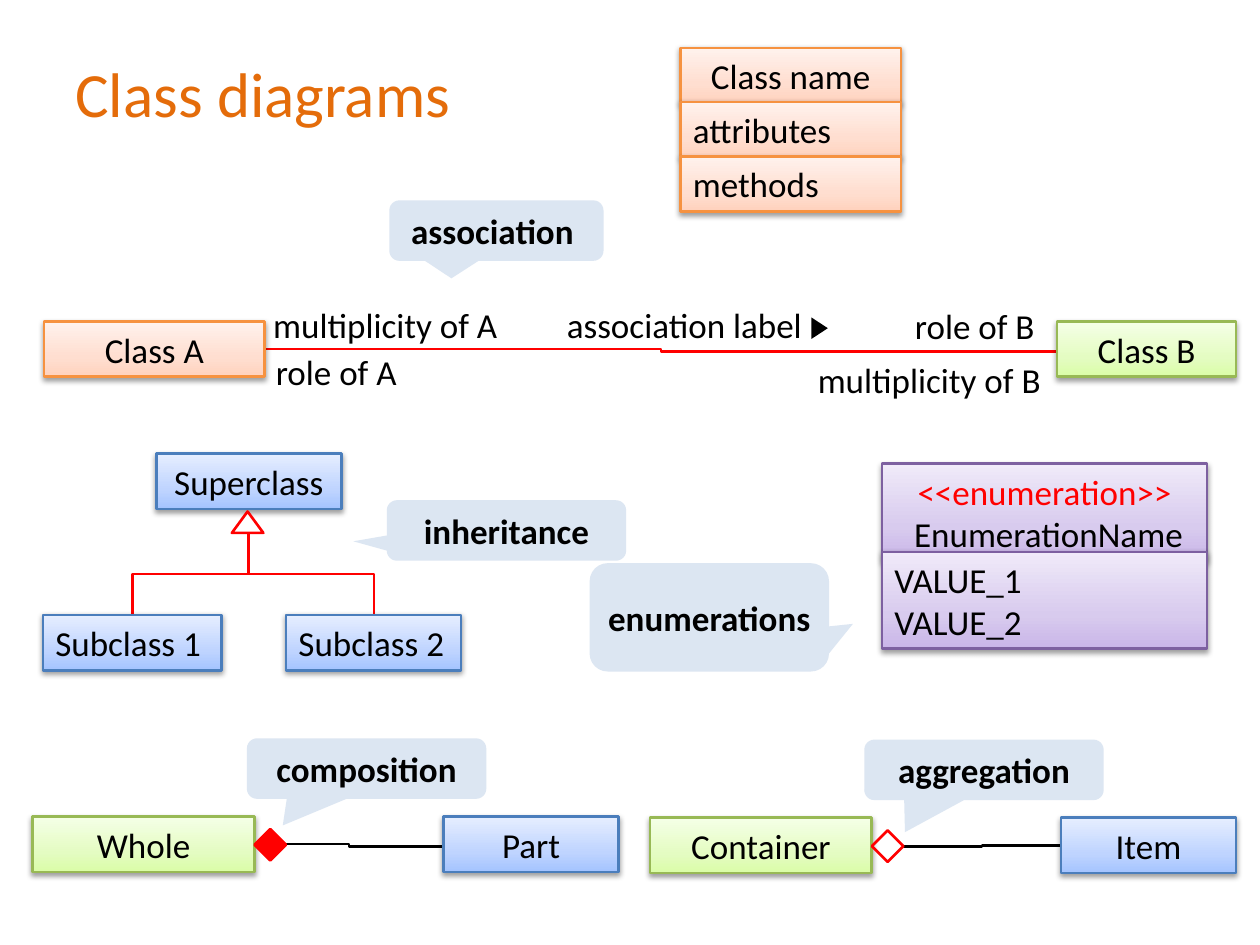
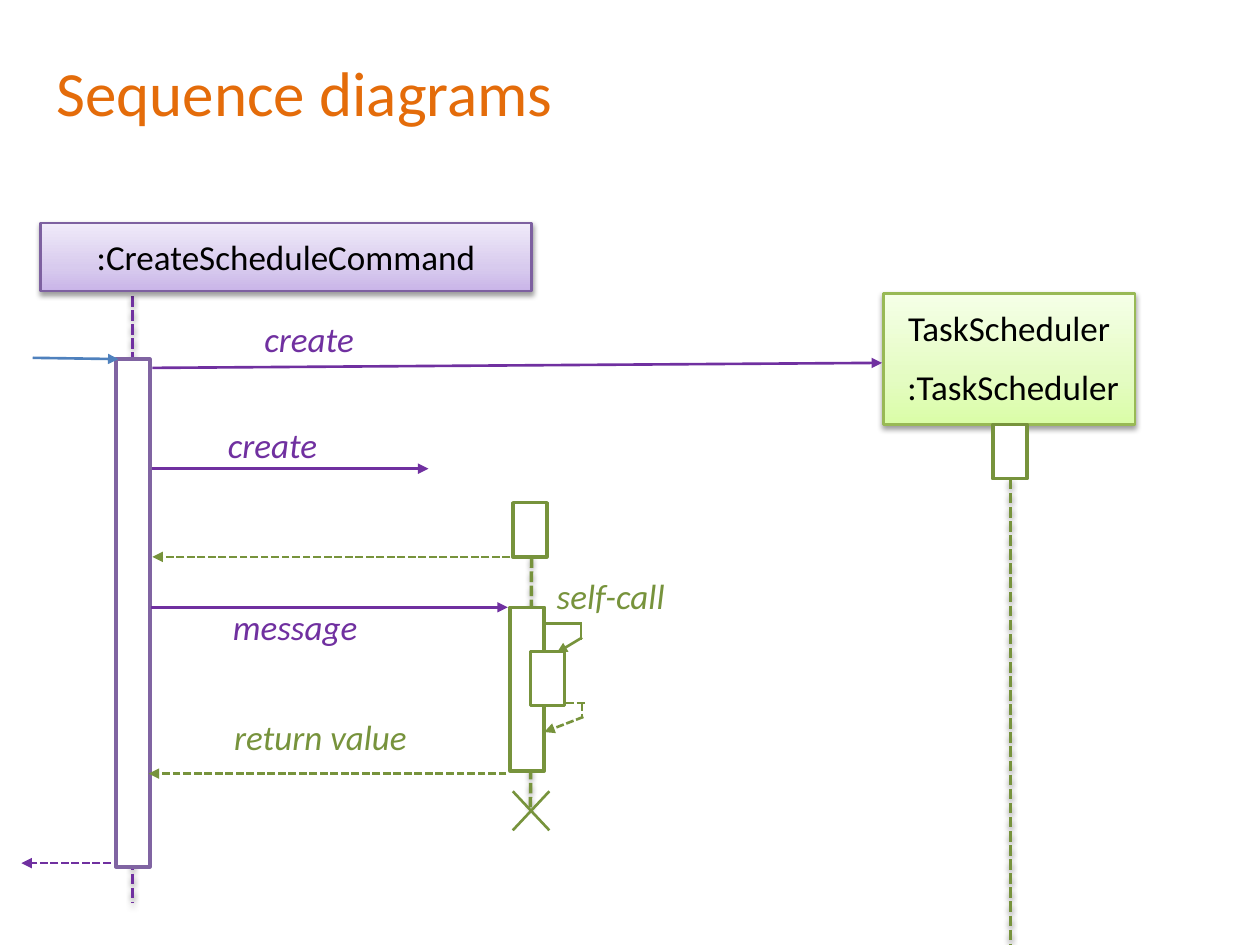
from pptx import Presentation
from pptx.util import Inches, Pt
from pptx.dml.color import RGBColor as Rgb
from pptx.enum.shapes import MSO_SHAPE as Geo, MSO_CONNECTOR as Link
from pptx.enum.text import PP_ALIGN as Align, MSO_ANCHOR as Anchor
from pptx.enum.dml import MSO_LINE as Dash
from pptx.oxml import parse_xml
from pptx.oxml.ns import qn, nsdecls
from lxml.etree import SubElement as Sub

COLORS = {
    "title": "E46C0A", "black": "000000", "white": "FFFFFF", "red": "FF0000",
    "callout": "DCE6F2", "purple": "7030A0", "violet": "8064A2",
    "green": "77933C", "blue": "4F81BD",
}
THEMES = {
    "peach": ("F69240", ("FFD2BD", "FFDED0", "FFF2ED")),
    "lime": ("98B955", ("DAFDA7", "E4FCC2", "F5FFE7")),
    "sky": ("4B7EBC", ("A4C4FF", "BFD4FF", "E6EEFF")),
    "lilac": ("7D60A0", ("C9B5E8", "D8CBEE", "F0EAF9")),
}
STOPS = (0, 35000, 100000)
ALIGNS = {"l": Align.LEFT, "c": Align.CENTER, "r": Align.RIGHT}
ROW = 0.44
BAR = 0.27

MEMBERS = [("Class name", "c"), ("attributes", "l"), ("methods", "l")]
CLASSES = [
    ("Class A", "peach", 0.35, 2.55, 1.75, "c"),
    ("Class B", "lime", 8.39, 2.55, 1.42, "c"),
    ("Superclass", "sky", 1.24, 3.6, 1.47, "c"),
    ("Subclass 1", "sky", 0.34, 4.88, 1.42, "l"),
    ("Subclass 2", "sky", 2.27, 4.88, 1.39, "l"),
    ("Whole", "lime", 0.26, 6.48, 1.76, "c"),
    ("Part", "sky", 3.52, 6.48, 1.39, "c"),
    ("Container", "lime", 5.16, 6.49, 1.76, "c"),
    ("Item", "sky", 8.42, 6.49, 1.39, "c"),
]
ENUM = [
    (3.68, "c", [[("<<enumeration>>\v ", "red"), ("EnumerationName", "black")]]),
    (4.38, "l", [[("VALUE_1", "black")], [("VALUE_2", "black")]]),
]
LABELS = [
    ("multiplicity of A", 2.07, 2.36, 2.05, "l"),
    ("association label ", 4.4, 2.36, 2.4, "l"),
    ("role of A", 2.09, 2.73, 1.89, "l"),
    ("role of B", 6.83, 2.37, 1.48, "r"),
    ("multiplicity of B", 6.36, 2.8, 2, "r"),
]
CALLOUTS = [
    ("association ", 3.09, 1.59, 1.7, 0.48, -0.21, 0.79),
    ("inheritance", 3.07, 3.97, 1.9, 0.48, -0.64, 0.18),
    ("composition", 1.96, 5.86, 1.9, 0.48, -0.35, 0.94),
    ("enumerations", 4.68, 4.47, 1.9, 0.86, 0.6, 0.06),
    ("aggregation", 6.86, 5.87, 1.9, 0.48, -0.33, 1.03),
]
ELBOWS = [
    ((2.1, 2.77), (8.39, 2.79), "red", False),
    ((1.05, 4.88), (1.97, 4.23), "red", True),
    ((2.97, 4.88), (1.97, 4.23), "red", True),
    ((3.52, 6.72), (2.02, 6.7), "black", False),
    ((8.42, 6.71), (7.17, 6.72), "black", False),
]
MARKS = [
    (Geo.ISOSCELES_TRIANGLE, (1.84, 4.06, 0.25, 0.17), "white", "red", 0),
    (Geo.FLOWCHART_DECISION, (2.02, 6.58, 0.25, 0.25), "red", "red", 0),
    (Geo.FLOWCHART_DECISION, (6.92, 6.59, 0.25, 0.25), None, "red", 0),
    (Geo.ISOSCELES_TRIANGLE, (6.42, 2.54, 0.17, 0.13), "black", None, 90),
]

LIVES = [
    ((1.05, 2.35), (1.05, 7.17), "purple"),
    ((4.22, 4.2), (4.21, 6.42), "green"),
    ((8.02, 3.8), (8.02, 7.5), "green"),
]
ACTORS = [
    ([":CreateScheduleCommand"], "lilac", (0.32, 1.77, 3.9, 0.54)),
    (["TaskScheduler", " :TaskScheduler"], "lime", (7.01, 2.33, 2, 1.04)),
]
BARS = [
    (0.92, 2.85, 4.03, "violet"), (4.07, 3.99, 0.43, "green"),
    (4.05, 4.82, 1.3, "green"), (4.21, 5.17, 0.43, "green"),
    (7.88, 3.37, 0.43, "green"),
]
RETURN = [
    ((4.16, 5.58), (4.64, 5.58), "green", True, False),
    ((4.62, 5.58), (4.62, 5.7), "green", True, False),
    ((4.63, 5.69), (4.32, 5.81), "green", True, True),
]
CALLS = [
    ((0.26, 2.84), (0.94, 2.85), "blue", False, True),
    ((0.88, 6.85), (0.17, 6.85), "purple", True, True),
    ((1.21, 2.92), (7, 2.88), "purple", False, True),
    ((1.21, 3.72), (3.4, 3.72), "purple", False, True),
    ((4.05, 4.42), (1.21, 4.42), "green", True, True),
    ((1.2, 4.82), (4.03, 4.82), "purple", False, True),
    ((4.02, 6.14), (1.18, 6.14), "green", True, True),
    ((4.36, 6.59), (4.07, 6.28), "green", False, False),
    ((4.36, 6.28), (4.07, 6.59), "green", False, False),
    ((4.32, 4.95), (4.62, 4.95), "green", False, False),
    ((4.61, 4.96), (4.61, 5.08), "green", False, False),
    ((4.62, 5.06), (4.42, 5.18), "green", False, True),
]
NOTES = [
    ("create", 2, 2.47, 2.34, "purple"), ("create", 1.71, 3.31, 1.17, "purple"),
    ("message", 1.75, 4.76, 1.39, "purple"),
    ("return value", 1.76, 5.63, 2.12, "green"),
    ("self-call", 4.32, 4.51, 1.31, "green"),
]


def apply(item, form):
    for key, value in form.items():
        setattr(item, key, value)


def tint(name):
    return Rgb.from_string(COLORS.get(name, name))


def stroke(line, color, width=1.5):
    line.color.rgb = tint(color)
    line.width = Pt(width)


def shade(props):
    glow = props.find(qn("a:effectLst"))
    if glow is None:
        glow = Sub(props, qn("a:effectLst"))
    drop = Sub(glow, qn("a:outerShdw"), blurRad="40000", dist="20000",
               dir="5400000", rotWithShape="0")
    ink = Sub(drop, qn("a:srgbClr"), val=COLORS["black"])
    Sub(ink, qn("a:alpha"), val="38000")


def write(shape, paras, align="l", size=20, anchor=Anchor.MIDDLE, gap=0, pad=0.05, **style):
    frame = shape.text_frame
    apply(frame, {"word_wrap": True, "vertical_anchor": anchor,
                  "margin_left": Inches(0.1), "margin_right": Inches(0.1),
                  "margin_top": Inches(pad), "margin_bottom": Inches(pad)})
    for n, runs in enumerate(paras):
        para = frame.add_paragraph() if n else frame.paragraphs[0]
        para.alignment = ALIGNS[align]
        if n and gap:
            para.space_before = Pt(gap)
        for words, color in runs:
            for k, part in enumerate(words.split("\v")):
                if k:
                    para.add_line_break()
                run = para.add_run()
                run.text = part
                apply(run.font, {"name": "Calibri", "size": Pt(size), **style})
                run.font.color.rgb = tint(color)


def draw(slide, geo, place, fill=None, edge=None, width=1.5):
    shape = slide.shapes.add_shape(geo, *map(Inches, place))
    shape.shadow.inherit = False
    if fill:
        shape.fill.solid()
        shape.fill.fore_color.rgb = tint(fill)
    else:
        shape.fill.background()
    if edge:
        stroke(shape.line, edge, width)
    else:
        shape.line.fill.background()
    return shape


def panel(slide, theme, place, paras, align, **form):
    edge, shades = THEMES[theme]
    shape = draw(slide, Geo.RECTANGLE, place, None, edge)
    stops = "".join(f'<a:gs pos="{pos}"><a:srgbClr val="{hue}"/></a:gs>'
                    for pos, hue in zip(STOPS, shades))
    props = shape.element.spPr
    props.replace(props.find(qn("a:noFill")), parse_xml(
        f'<a:gradFill {nsdecls("a")} rotWithShape="1"><a:gsLst>{stops}</a:gsLst>'
        '<a:lin ang="16200000" scaled="0"/></a:gradFill>'))
    shade(props)
    write(shape, paras, align, **form)


def label(slide, words, place, color="black", align="l", **form):
    box = slide.shapes.add_textbox(*map(Inches, place))
    write(box, [[(words, color)]], align, **{"anchor": Anchor.TOP, **form})


def join(slide, start, end, color, dash=False, arrow=False, kind=Link.STRAIGHT,
         width=1.5, shadow=False):
    wire = slide.shapes.add_connector(kind, *map(Inches, start + end))
    stroke(wire.line, color, width)
    if dash:
        wire.line.dash_style = Dash.SQUARE_DOT
    props = wire.element.spPr
    if arrow:
        Sub(props.find(qn("a:ln")), qn("a:tailEnd"), type="triangle")
    if shadow:
        shade(props)
    else:
        Sub(props, qn("a:effectLst"))
    return wire


def elbow(slide, start, end, color, turn):
    if turn:
        (ax, ay), (bx, by) = start, end
        mx, my = (ax + bx) / 2, (ay + by) / 2
        start = (mx + ay - my, my - ax + mx)
        end = (mx + by - my, my - bx + mx)
    wire = join(slide, start, end, color, kind=Link.ELBOW)
    if turn:
        wire.element.spPr.find(qn("a:xfrm")).set("rot", "5400000")


def begin(deck, title, place):
    slide = deck.slides.add_slide(deck.slide_layouts[6])
    label(slide, title, place, "title", size=36, anchor=Anchor.MIDDLE)
    return slide


def classes(deck):
    slide = begin(deck, "Class diagrams", (0.5, 0.3, 9, 0.87))
    for line in ELBOWS:
        elbow(slide, *line)
    for n, (words, align) in enumerate(MEMBERS):
        panel(slide, "peach", (5.4, 0.38 + 0.43 * n, 1.75, ROW),
              [[(words, "black")]], align)
    for words, theme, x, y, w, align in CLASSES:
        panel(slide, theme, (x, y, w, ROW), [[(words, "black")]], align)
    for y, align, paras in ENUM:
        panel(slide, "lilac", (7, y, 2.58, 0.77), paras, align)
    for words, x, y, w, align in LABELS:
        label(slide, words, (x, y, w, ROW), align=align)
    for geo, place, fill, edge, turn in MARKS:
        draw(slide, geo, place, fill, edge).rotation = turn
    for words, x, y, w, h, dx, dy in CALLOUTS:
        shape = draw(slide, Geo.ROUNDED_RECTANGULAR_CALLOUT, (x, y, w, h), "callout")
        for n, value in enumerate((dx, dy, 0.167)):
            shape.adjustments[n] = value
        write(shape, [[(words, "black")]], "c", bold=True)


def sequence(deck):
    slide = begin(deck, "Sequence diagrams", (0.35, 0.29, 4.81, 0.87))
    for line in RETURN:
        join(slide, *line)
    for start, end, color in LIVES:
        join(slide, start, end, color, dash=True, width=2, shadow=True)
    for names, theme, place in ACTORS:
        panel(slide, theme, place, [[(name, "black")] for name in names], "c",
              anchor=Anchor.TOP, gap=10, pad=0.1)
    for x, y, h, edge in BARS:
        draw(slide, Geo.RECTANGLE, (x, y, BAR, h), "white", edge, 2)
    for line in CALLS:
        join(slide, *line)
    for words, x, y, w, color in NOTES:
        label(slide, words, (x, y, w, ROW), color, italic=True)


deck = Presentation()
apply(deck, {"slide_width": Inches(10), "slide_height": Inches(7.5)})
classes(deck)
sequence(deck)
deck.save("out.pptx")
